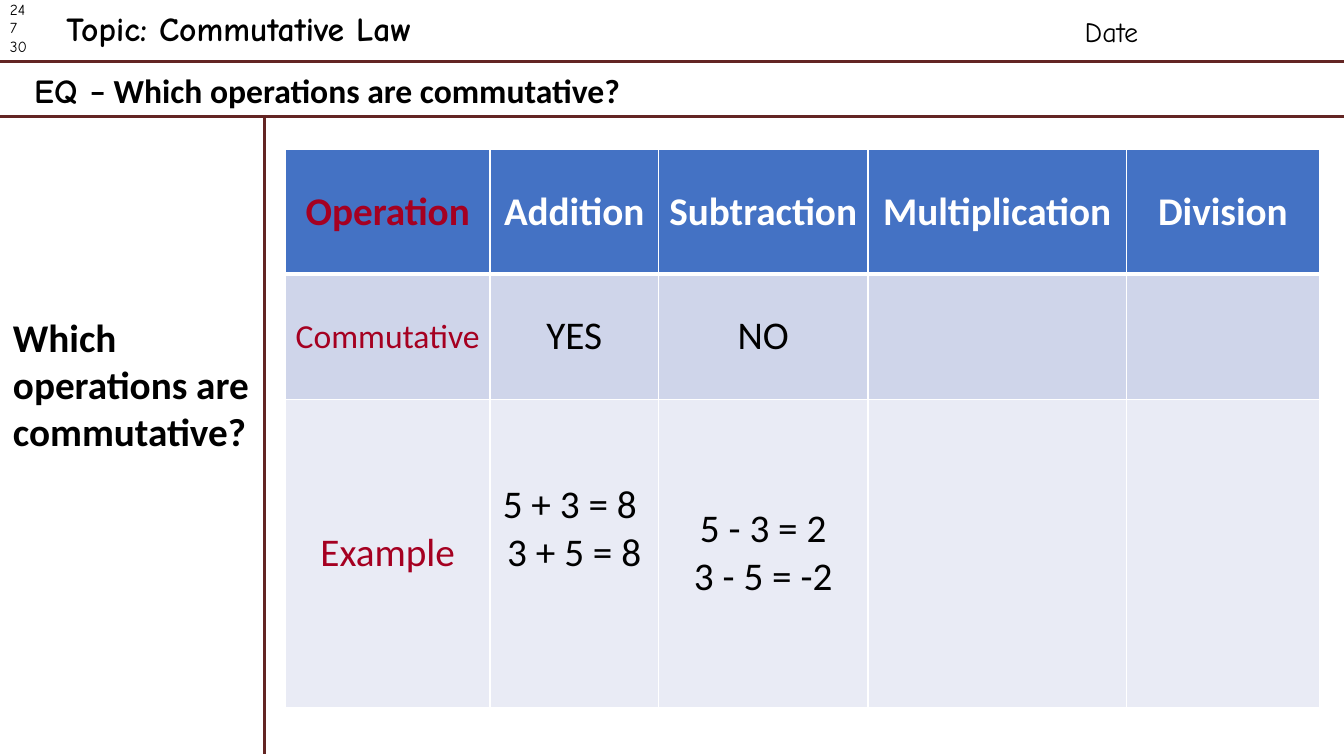
from dataclasses import dataclass

import lxml.etree
import pptx
import pptx.dml.color
import pptx.enum.shapes
import pptx.enum.text
import pptx.oxml.ns
import pptx.slide
import pptx.table
import pptx.text.text
import pptx.util

RGBColor = pptx.dml.color.RGBColor
BLACK = RGBColor(0x00, 0x00, 0x00)
WHITE = RGBColor(0xFF, 0xFF, 0xFF)
MAROON = RGBColor(0x63, 0x25, 0x23)
CRIMSON = RGBColor(0xA5, 0x00, 0x21)
HEADER_BLUE = RGBColor(0x44, 0x72, 0xC4)
BAND_DARK = RGBColor(0xCF, 0xD5, 0xEA)
BAND_LIGHT = RGBColor(0xE9, 0xEB, 0xF5)

BODY_FONT = "Calibri"
NOTE_FONT = "Comic Neue"
EMU_PER_PX = 9144


@dataclass(frozen=True)
class Rule:
    x1: int
    y1: int
    x2: int
    y2: int


@dataclass(frozen=True)
class Label:
    left: int
    top: int
    width: int
    height: int
    paragraphs: list[list[tuple[str, str]]]
    size: int
    bold: bool = False
    wrap: bool = True


@dataclass(frozen=True)
class TableRow:
    height: int
    fill: RGBColor
    texts: list[str]
    heading_size: int = 28
    text_color: RGBColor = BLACK
    bold: bool = False
    top_border: int = 1
    bottom_border: int = 1


RULES = [
    Rule(0, 61, 1333, 61),
    Rule(0, 116, 1333, 116),
    Rule(262, 114, 262, 748),
]
LABELS = [
    Label(0, -5, 56, 66, [[(line, NOTE_FONT)] for line in ("24", "7", "30")], 11),
    Label(1066, 9, 91, 44, [[("Date", NOTE_FONT)]], 20),
    Label(24, 64, 945, 50,
          [[("EQ ", NOTE_FONT), ("– Which operations are commutative?", BODY_FONT)]],
          24, bold=True),
    Label(56, 3, 416, 50, [[("Topic: Commutative Law", NOTE_FONT)]], 24, bold=True, wrap=False),
    Label(3, 306, 262, 151, [[("Which operations are commutative?", BODY_FONT)]], 28, bold=True),
]
TABLE_LEFT, TABLE_TOP = 283, 148
COLUMN_WIDTHS = [203, 167, 208, 256, 192]
TABLE_ROWS = [
    TableRow(124, HEADER_BLUE,
             ["Operation", "Addition", "Subtraction", "Multiplication", "Division"],
             text_color=WHITE, bold=True, bottom_border=3),
    TableRow(124, BAND_DARK, ["Commutative", "YES", "NO", "", ""],
             heading_size=24, top_border=3),
    TableRow(306, BAND_LIGHT,
             ["Example", "5 + 3 = 8 \n3 + 5 = 8", "5 - 3 = 2\n3 - 5 = -2", "", ""]),
]
EXAMPLE_ROW, ADDITION_COLUMN = 2, 1
ADDITION_BOTTOM_MARGIN = 53


def px(length: int) -> pptx.util.Emu:
    return pptx.util.Emu(length * EMU_PER_PX)


def format_font(font: pptx.text.text.Font, name: str, size: int,
                color: RGBColor, bold: bool) -> None:
    font.name = name
    font.size = pptx.util.Pt(size)
    font.color.rgb = color
    font.bold = bold


def draw_rule(slide: pptx.slide.Slide, rule: Rule) -> None:
    connector = slide.shapes.add_connector(
        pptx.enum.shapes.MSO_CONNECTOR.STRAIGHT,
        px(rule.x1), px(rule.y1), px(rule.x2), px(rule.y2))
    connector.line.color.rgb = MAROON
    connector.line.width = pptx.util.Pt(2.25)
    lxml.etree.SubElement(connector.element.spPr, pptx.oxml.ns.qn("a:effectLst"))


def draw_label(slide: pptx.slide.Slide, label: Label) -> None:
    shape = slide.shapes.add_textbox(
        px(label.left), px(label.top), px(label.width), px(label.height))
    text_frame = shape.text_frame
    text_frame.word_wrap = label.wrap
    text_frame.auto_size = pptx.enum.text.MSO_AUTO_SIZE.SHAPE_TO_FIT_TEXT
    for index, runs in enumerate(label.paragraphs):
        paragraph = text_frame.add_paragraph() if index else text_frame.paragraphs[0]
        for text, font_name in runs:
            run = paragraph.add_run()
            run.text = text
            format_font(run.font, font_name, label.size, BLACK, label.bold)


def set_borders(cell: pptx.table._Cell, top: int, bottom: int) -> None:
    properties = cell._tc.get_or_add_tcPr()
    widths = {"a:lnL": 1, "a:lnR": 1, "a:lnT": top, "a:lnB": bottom}
    for index, (tag, width) in enumerate(widths.items()):
        border = lxml.etree.Element(pptx.oxml.ns.qn(tag), w=str(pptx.util.Pt(width)))
        fill = lxml.etree.SubElement(border, pptx.oxml.ns.qn("a:solidFill"))
        lxml.etree.SubElement(fill, pptx.oxml.ns.qn("a:srgbClr"), val=str(WHITE))
        properties.insert(index, border)


def fill_cell(cell: pptx.table._Cell, row: TableRow, text: str, is_heading: bool) -> None:
    cell.fill.solid()
    cell.fill.fore_color.rgb = row.fill
    cell.vertical_anchor = pptx.enum.text.MSO_ANCHOR.MIDDLE
    set_borders(cell, row.top_border, row.bottom_border)
    cell.text_frame.text = text
    for paragraph in cell.text_frame.paragraphs:
        paragraph.alignment = pptx.enum.text.PP_ALIGN.CENTER
        for run in paragraph.runs:
            format_font(run.font, BODY_FONT,
                        row.heading_size if is_heading else 28,
                        CRIMSON if is_heading else row.text_color, row.bold)


def draw_table(slide: pptx.slide.Slide) -> None:
    table = slide.shapes.add_table(
        len(TABLE_ROWS), len(COLUMN_WIDTHS), px(TABLE_LEFT), px(TABLE_TOP),
        px(sum(COLUMN_WIDTHS)), px(sum(row.height for row in TABLE_ROWS))).table
    for column, width in zip(table.columns, COLUMN_WIDTHS):
        column.width = px(width)
    for row_index, row in enumerate(TABLE_ROWS):
        table.rows[row_index].height = px(row.height)
        for column_index, text in enumerate(row.texts):
            fill_cell(table.cell(row_index, column_index), row, text, column_index == 0)
    table.cell(EXAMPLE_ROW, ADDITION_COLUMN).margin_bottom = px(ADDITION_BOTTOM_MARGIN)


def main() -> None:
    presentation = pptx.Presentation()
    presentation.slide_width = px(1333)
    presentation.slide_height = px(750)
    slide = presentation.slides.add_slide(presentation.slide_layouts[6])
    for rule in RULES:
        draw_rule(slide, rule)
    for label in LABELS:
        draw_label(slide, label)
    draw_table(slide)
    presentation.save("out.pptx")


if __name__ == "__main__":
    main()
